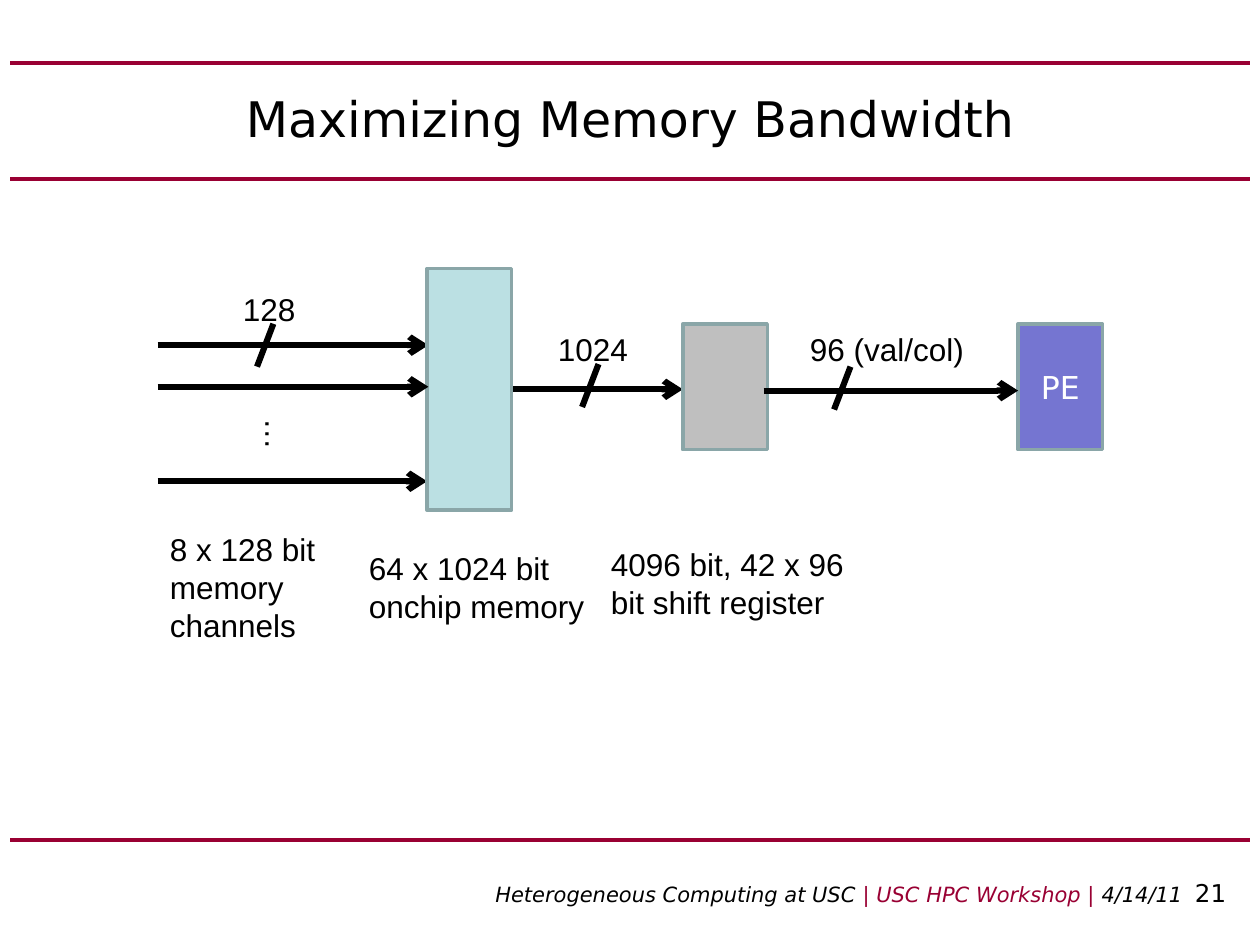
import pptx
import pptx.util
import pptx.dml.color
import pptx.enum.shapes
import pptx.enum.text
import pptx.oxml.ns
import lxml.etree

Inches, Pt = pptx.util.Inches, pptx.util.Pt
ALIGN = pptx.enum.text.PP_ALIGN
ANCHOR = pptx.enum.text.MSO_ANCHOR
qn = pptx.oxml.ns.qn

COLORS = {"black": "000000", "white": "FFFFFF", "wine": "990033",
          "edge": "8AA6A8", "aqua": "BBE0E3", "gray": "BFBFBF",
          "violet": "7575D1"}
SANS, ARIAL = "DejaVu Sans", "Arial"

# Content
TITLE = "Maximizing Memory Bandwidth"
FOOTER = [  # text, color, size, italic
    ("Heterogeneous Computing at USC ", "black", 12, True),
    ("| USC HPC Workshop | ", "wine", 12, True),
    ("4/14/11\t ", "black", 12, True),
    ("21", "black", 14, False),
]
RULES = [0.5, 1.42, 6.67]  # y
# Arrows: start x, end x, y
BACK = [(4.06, 5.42, 3.09), (1.25, 3.4, 2.74), (1.25, 3.39, 3.82)]
FRONT = [(1.25, 3.4, 3.07), (6.06, 8.08, 3.1)]
TICKS = [(2.04, 2.57), (4.62, 2.89), (6.62, 2.91)]  # left, top
BLOCKS = [  # left, top, height, fill, text
    (3.39, 2.13, 1.92, "aqua", ""),
    (5.42, 2.57, 1, "gray", ""),
    (8.08, 2.57, 1, "violet", "PE"),
]
LABELS = [  # text, left, top, width, height
    ("8 x 128 bit memory channels", 1.25, 4.16, 1.58, 1.01),
    ("64 x 1024 bit onchip memory", 2.83, 4.31, 2, 0.71),
    ("4096 bit, 42 x 96 bit shift register", 4.75, 4.28, 2.17, 0.71),
    ("128", 1.83, 2.25, 0.67, 0.4),
    ("1024", 4.33, 2.57, 0.83, 0.4),
    ("96 (val/col)", 6.33, 2.57, 1.5, 0.4),
]


def rgb(name):
    return pptx.dml.color.RGBColor.from_string(COLORS[name])


def style(font, size, face, color):
    font.size, font.name = Pt(size), face
    font.color.rgb = rgb(color)


def line(x1, y1, x2, y2, color="black", width=3.5, arrow=False):
    wire = slide.shapes.add_connector(
        pptx.enum.shapes.MSO_CONNECTOR.STRAIGHT,
        Inches(x1), Inches(y1), Inches(x2), Inches(y2))
    wire.line.color.rgb = rgb(color)
    wire.line.width = Pt(width)
    props = wire.line._get_or_add_ln()
    if arrow:
        lxml.etree.SubElement(props, qn("a:tailEnd"), type="arrow")
    lxml.etree.SubElement(props.getparent(), qn("a:effectLst"))


def label(text, x, y, w, h, size=18, face=ARIAL, align=ALIGN.LEFT):
    box = slide.shapes.add_textbox(Inches(x), Inches(y), Inches(w), Inches(h))
    box.text_frame.word_wrap = True
    para = box.text_frame.paragraphs[0]
    para.text, para.alignment = text, align
    style(para.font, size, face, "black")
    return box


def block(x, y, h, fill, text):
    box = slide.shapes.add_shape(pptx.enum.shapes.MSO_SHAPE.RECTANGLE,
                                 Inches(x), Inches(y), Inches(0.67), Inches(h))
    box.shadow.inherit = False
    box.fill.solid()
    box.fill.fore_color.rgb = rgb(fill)
    box.line.color.rgb = rgb("edge")
    box.line.width = Pt(2)
    if text:
        box.text_frame.vertical_anchor = ANCHOR.MIDDLE
        para = box.text_frame.paragraphs[0]
        para.text, para.alignment = text, ALIGN.CENTER
        style(para.font, 18, SANS, "white")


deck = pptx.Presentation()
deck.slide_width, deck.slide_height = Inches(10), Inches(7.5)
slide = deck.slides.add_slide(deck.slide_layouts[6])

# Rules and title
for y in RULES:
    line(0.08, y, 9.92, y, "wine", 2.25)
head = label(TITLE, 0.5, 0.5, 9, 0.87, 28, SANS, ALIGN.CENTER)
head.text_frame.vertical_anchor = ANCHOR.MIDDLE

# Footer
foot = label("", 3.08, 6.92, 6.75, 0.33, 12, SANS, ALIGN.RIGHT)
for text, color, size, slant in FOOTER:
    run = foot.text_frame.paragraphs[0].add_run()
    run.text = text
    style(run.font, size, SANS, color)
    run.font.italic = slant

# Data path: blocks lie between the back and front arrows
for x1, x2, y in BACK:
    line(x1, y, x2, y, arrow=True)
for item in BLOCKS:
    block(*item)
for x1, x2, y in FRONT:
    line(x1, y, x2, y, arrow=True)
for x, y in TICKS:
    line(x + 0.13, y, x, y + 0.34)

# Labels
for item in LABELS:
    label(*item)
dots = label("…", 1.79, 3.25, 0.83, 0.4, align=ALIGN.CENTER)
dots.rotation = 90

deck.save("out.pptx")
